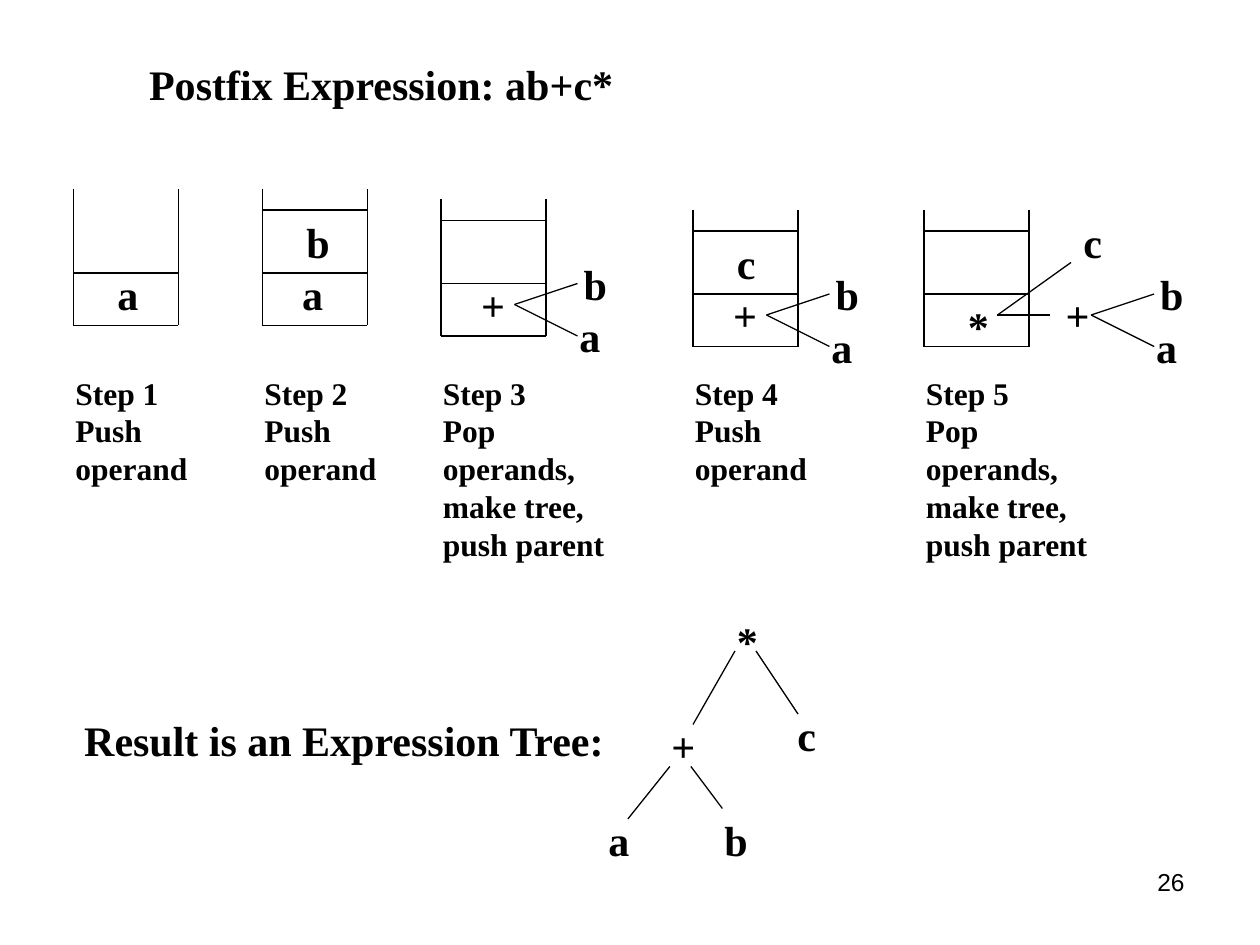
from dataclasses import dataclass

from lxml.etree import SubElement
from pptx import Presentation
from pptx.dml.color import RGBColor
from pptx.enum.shapes import MSO_CONNECTOR
from pptx.enum.text import MSO_ANCHOR, MSO_AUTO_SIZE, PP_ALIGN
from pptx.oxml.ns import qn
from pptx.util import Inches, Pt


@dataclass(frozen=True)
class Theme:
    ink: RGBColor = RGBColor(0, 0, 0)
    serif: str = "Times New Roman"
    sans: str = "Arial"
    large: int = 24
    caption: int = 18
    page_number: int = 14
    line_width: float = 0.75


@dataclass(frozen=True)
class Stack:
    """One step; dividers are rows below the stack's top."""
    column: float
    row: float
    dividers: tuple[int, ...]
    caption: tuple[str, ...]
    width: float
    height: float


@dataclass(frozen=True)
class Letter:
    text: str
    column: float
    row: float


@dataclass(frozen=True)
class Branch:
    start: tuple[float, float]
    end: tuple[float, float]


THEME = Theme()
CELL = Inches(10) / 120  # the slide is 120 columns by 90 rows
STACK_WIDTH, STACK_HEIGHT = 10, 13
CAPTION_ROW = 35
LINE_HEIGHT = 6
LETTER_WIDTHS = {"a": 4.44, "b": 4.68, "c": 4.2, "+": 4.68, "*": 4.44}

PUSH = ("Push", "operand")
POP = ("Pop", "operands,", "make tree,", "push parent")
STACKS = [
    Stack(7, 18, (8,), PUSH, 13.08, 12),
    Stack(25, 18, (2, 8), PUSH, 13.08, 12),
    Stack(42, 19, (2, 8), POP, 17.88, 19.2),
    Stack(66, 20, (2, 8), PUSH, 13.08, 12),
    Stack(88, 20, (2, 8), POP, 17.88, 22.8),
]
FORKS = [(49, 29), (73, 30), (103.92, 30)]
LETTERS = [
    Letter("a", 10, 25),
    Letter("b", 28, 20), Letter("a", 27.6, 25),
    Letter("+", 44.64, 26),
    Letter("c", 69, 22), Letter("+", 68.64, 27),
    Letter("*", 91, 28), Letter("+", 100.32, 27), Letter("c", 102, 20),
    Letter("*", 69, 58), Letter("+", 62.76, 68), Letter("c", 74.76, 67),
    Letter("a", 56.76, 77), Letter("b", 67.8, 77),
]
BRANCHES = [
    Branch((95, 30), (100, 30)), Branch((95, 30), (102, 25)),
    Branch((70, 62), (66, 69)), Branch((72, 62), (76, 68)),
    Branch((63.8, 73), (59.8, 78)), Branch((65.8, 73), (68.8, 77)),
]


def cells(count: float) -> int:
    return round(count * CELL)


def write_text(shape, *lines: str, size: int = THEME.large, font: str = THEME.serif,
               bold: bool = True, align=PP_ALIGN.LEFT, wrap: bool = False) -> None:
    frame = shape.text_frame
    frame.word_wrap = wrap
    frame.auto_size = MSO_AUTO_SIZE.NONE if wrap else MSO_AUTO_SIZE.SHAPE_TO_FIT_TEXT
    frame.vertical_anchor = MSO_ANCHOR.TOP
    for index, line in enumerate(lines):
        paragraph = frame.add_paragraph() if index else frame.paragraphs[0]
        paragraph.alignment = align
        run = paragraph.add_run()
        run.text = line
        run.font.name = font
        run.font.size = Pt(size)
        run.font.bold = bold
        run.font.color.rgb = THEME.ink


def add_text(slide, column: float, row: float, width: float, height: float,
             *lines: str, **text_format) -> None:
    shape = slide.shapes.add_textbox(*map(cells, (column, row, width, height)))
    write_text(shape, *lines, **text_format)


def add_line(slide, start: tuple[float, float], end: tuple[float, float]) -> None:
    line = slide.shapes.add_connector(MSO_CONNECTOR.STRAIGHT, *map(cells, (*start, *end)))
    line.line.color.rgb = THEME.ink
    line.line.width = Pt(THEME.line_width)
    SubElement(line._element.spPr, qn("a:effectLst"))


def add_letter(slide, letter: Letter) -> None:
    add_text(slide, letter.column, letter.row, LETTER_WIDTHS[letter.text],
             LINE_HEIGHT, letter.text)


def add_stack(slide, number: int, stack: Stack) -> None:
    left, right = stack.column, stack.column + STACK_WIDTH
    bottom = stack.row + STACK_HEIGHT
    for side in (left, right):
        add_line(slide, (side, stack.row), (side, bottom))
    for offset in (*stack.dividers, STACK_HEIGHT):
        add_line(slide, (left, stack.row + offset), (right, stack.row + offset))
    add_text(slide, left - 1, CAPTION_ROW, stack.width, stack.height,
             f"Step {number}", *stack.caption, size=THEME.caption)


def add_fork(slide, column: float, row: float) -> None:
    """Branch from a plus sign to its operands b and a."""
    add_line(slide, (column, row), (column + 6, row - 2))
    add_line(slide, (column, row), (column + 6, row + 3))
    add_letter(slide, Letter("b", column + 5.4, row - 5))
    add_letter(slide, Letter("a", column + 5, row))


def main() -> None:
    presentation = Presentation()
    presentation.slide_width, presentation.slide_height = Inches(10), Inches(7.5)
    slide = presentation.slides.add_slide(presentation.slide_layouts[5])

    title = slide.shapes.title
    title.left, title.top, title.width, title.height = map(cells, (13, 5, 46.68, LINE_HEIGHT))
    write_text(title, "Postfix Expression: ab+c*")

    for number, stack in enumerate(STACKS, start=1):
        add_stack(slide, number, stack)
    for column, row in FORKS:
        add_fork(slide, column, row)
    for branch in BRANCHES:
        add_line(slide, branch.start, branch.end)
    for letter in LETTERS:
        add_letter(slide, letter)

    add_text(slide, 6.84, 67.5, 52.44, LINE_HEIGHT, "Result is an Expression Tree:")
    add_text(slide, 86, 82, 28, 6.25, "26", size=THEME.page_number, font=THEME.sans,
             bold=False, align=PP_ALIGN.RIGHT, wrap=True)
    presentation.save("out.pptx")


if __name__ == "__main__":
    main()
